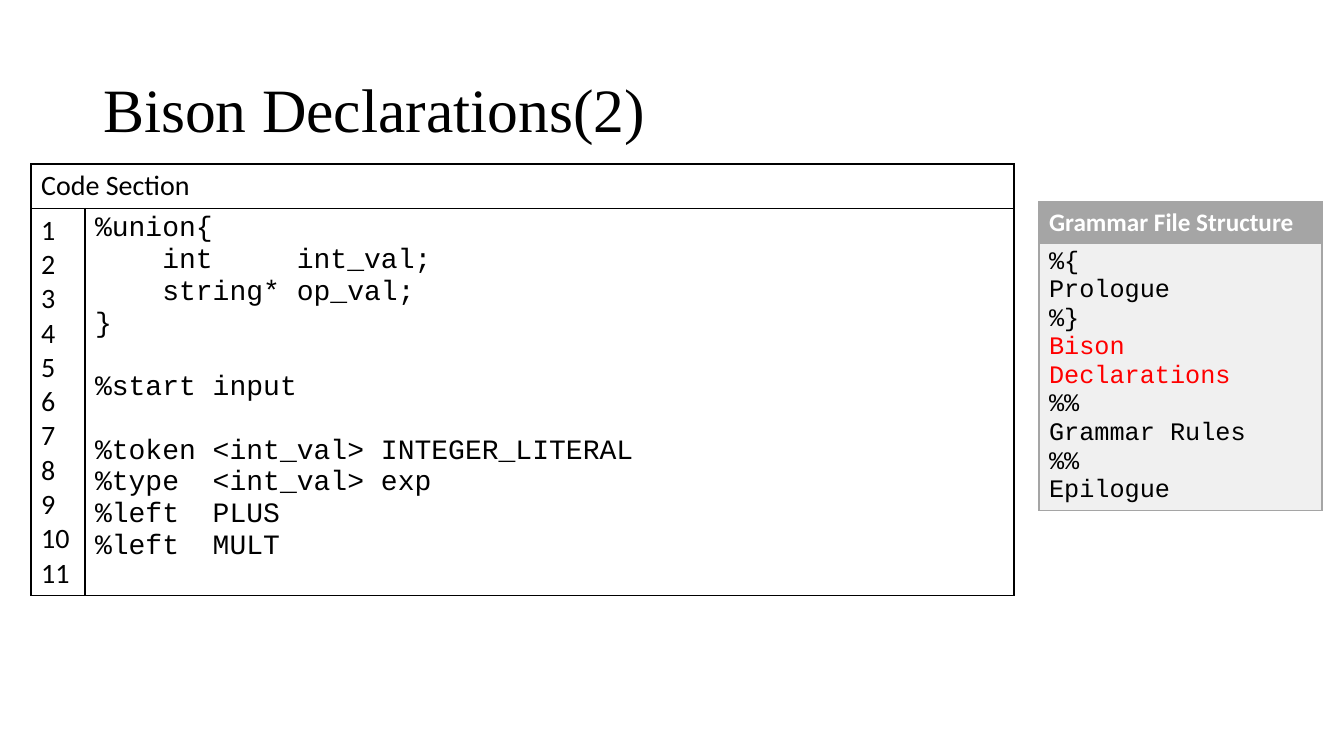
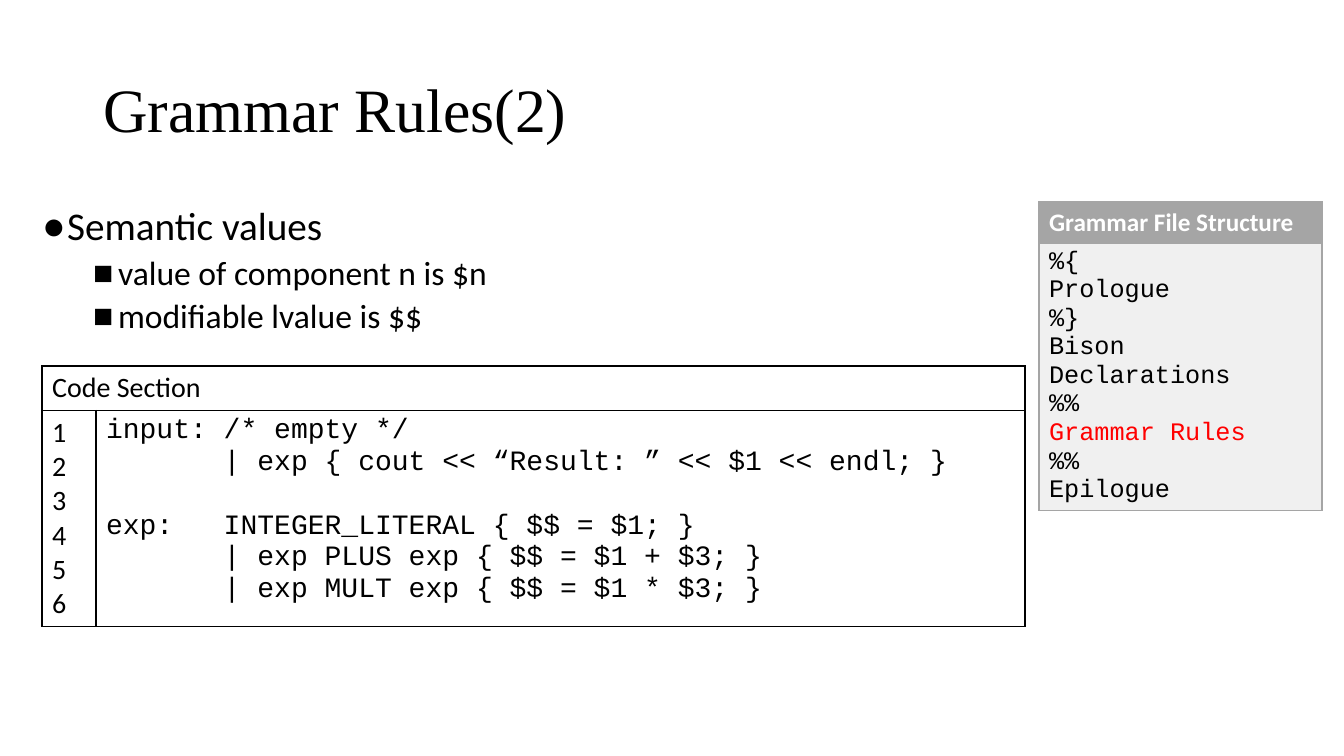
"""Build two slides on Bison grammar files: declarations and grammar rules."""
import dataclasses
import typing

import lxml.etree
import pptx
import pptx.dml.color
import pptx.enum.text
import pptx.oxml.ns
import pptx.util

EMU_PER_PIXEL = 914400 / 100.8
BLACK, WHITE, RED = "000000", "FFFFFF", "FF0000"
GRAY, PALE_GRAY = "A5A5A5", "F0F0F0"
BODY_FONT, CODE_FONT, TITLE_FONT = "Calibri", "Courier New", "Times New Roman"
TITLE_ONLY, TITLE_AND_BODY = 5, 1
HEADER_HEIGHT, LINE_HEIGHT, CELL_PADDING = 44, 34, 12
GRAMMAR_FILE_PARTS = ["%{", "Prologue", "%}", "Bison Declarations", "%%",
                      "Grammar Rules", "%%", "Epilogue"]


@dataclasses.dataclass(frozen=True)
class Box:
    """A rectangle in pixels."""
    left: int
    top: int
    width: int
    height: int

    def emu(self) -> list[pptx.util.Emu]:
        """Return left, top, width and height in EMU."""
        return [px(side) for side in dataclasses.astuple(self)]


@dataclasses.dataclass(frozen=True)
class TextStyle:
    """The look of a paragraph."""
    font: str
    size: int
    color: str = BLACK
    bold: bool = False


@dataclasses.dataclass(frozen=True)
class BulletLevel:
    """Bullet, indent in pixels, space before in points and text style."""
    bullet: str
    indent: int
    space_before: int
    style: TextStyle


@dataclasses.dataclass(frozen=True)
class Lesson:
    """What one slide says."""
    title: str
    current_part: str
    code_left: int
    code_top: int
    code: list[str]
    points: list[tuple[int, str]] = dataclasses.field(default_factory=list)


TITLE_BOX = Box(93, 40, 1159, 146)
POINTS_BOX = Box(32, 202, 980, 529)
STRUCTURE_BOX = Box(1039, 202, 283, 308)
CODE_COLUMNS = [54, 929]
STRUCTURE_ROWS = [41, 267]

TITLE_STYLE = TextStyle(TITLE_FONT, 44)
NUMBER_STYLE = TextStyle(BODY_FONT, 20)
CODE_STYLE = TextStyle(CODE_FONT, 20)
STRUCTURE_HEADER = TextStyle(BODY_FONT, 18, WHITE, True)
STRUCTURE_PART = TextStyle(CODE_FONT, 18)
CURRENT_PART = TextStyle(CODE_FONT, 18, RED)
LEVELS = [BulletLevel("●", 25, 10, TextStyle(BODY_FONT, 28)),
          BulletLevel("■", 76, 5, TextStyle(BODY_FONT, 24))]
HANGING = -25

LESSONS = [
    Lesson("Bison Declarations(2)", "Bison Declarations", 31, 164, [
        "%union{",
        "    int     int_val;",
        "    string* op_val;",
        "}",
        "",
        "%start input",
        "",
        "%token <int_val> INTEGER_LITERAL",
        "%type  <int_val> exp",
        "%left  PLUS",
        "%left  MULT",
    ]),
    Lesson("Grammar Rules(2)", "Grammar Rules", 42, 366, [
        "input: /* empty */",
        "       | exp { cout << “Result: ” << $1 << endl; }",
        "",
        "exp:   INTEGER_LITERAL { $$ = $1; }",
        "       | exp PLUS exp { $$ = $1 + $3; }",
        "       | exp MULT exp { $$ = $1 * $3; }",
    ], [(0, "Semantic values"),
        (1, "value of component n is $n"),
        (1, "modifiable lvalue is $$")]),
]


def px(pixels: float) -> pptx.util.Emu:
    """Turn pixels into EMU."""
    return pptx.util.Emu(round(pixels * EMU_PER_PIXEL))


def rgb(color: str) -> pptx.dml.color.RGBColor:
    """Turn a hex string into a colour."""
    return pptx.dml.color.RGBColor.from_string(color)


def add_child(parent: typing.Any, tag: str, **attributes: str) -> typing.Any:
    """Append a DrawingML element."""
    return lxml.etree.SubElement(parent, pptx.oxml.ns.qn(tag), attributes)


def apply_style(paragraph: typing.Any, style: TextStyle) -> None:
    """Set the font of a whole paragraph."""
    paragraph.font.name = style.font
    paragraph.font.size = pptx.util.Pt(style.size)
    paragraph.font.bold = style.bold
    paragraph.font.color.rgb = rgb(style.color)


def write_lines(frame: typing.Any, lines: list[str], style: TextStyle) -> None:
    """Fill a text frame with one paragraph per line."""
    frame.text = "\n".join(lines)
    for paragraph in frame.paragraphs:
        apply_style(paragraph, style)


def place(placeholder: typing.Any, box: Box) -> None:
    """Move a placeholder and keep its text at full size."""
    (placeholder.left, placeholder.top,
     placeholder.width, placeholder.height) = box.emu()
    placeholder.text_frame.auto_size = pptx.enum.text.MSO_AUTO_SIZE.NONE


def write_title(title: typing.Any, text: str) -> None:
    """Place and format the slide title."""
    place(title, TITLE_BOX)
    frame = title.text_frame
    frame.vertical_anchor = pptx.enum.text.MSO_ANCHOR.MIDDLE
    write_lines(frame, [text], TITLE_STYLE)
    frame.paragraphs[0].alignment = pptx.enum.text.PP_ALIGN.LEFT
    frame.paragraphs[0].line_spacing = 0.9


def write_points(body: typing.Any, points: list[tuple[int, str]]) -> None:
    """Fill the body placeholder with a bulleted list."""
    place(body, POINTS_BOX)
    body.text_frame.text = "\n".join(text for _, text in points)
    for paragraph, (depth, _) in zip(body.text_frame.paragraphs, points):
        level = LEVELS[depth]
        paragraph.level = depth
        paragraph.line_spacing = 0.9
        paragraph.space_before = pptx.util.Pt(level.space_before)
        apply_style(paragraph, level.style)
        properties = paragraph._p.get_or_add_pPr()
        properties.set("marL", str(px(level.indent)))
        properties.set("indent", str(px(HANGING)))
        bullet = add_child(properties, "a:buChar", char=level.bullet)
        properties.find(pptx.oxml.ns.qn("a:defRPr")).addprevious(bullet)


def format_cell(cell: typing.Any, fill: str, border: str) -> None:
    """Give a cell a plain fill and a thin border on every side."""
    properties = cell._tc.get_or_add_tcPr()
    for side in ("L", "R", "T", "B"):
        line = add_child(properties, f"a:ln{side}", w=str(pptx.util.Pt(1)))
        add_child(add_child(line, "a:solidFill"), "a:srgbClr", val=border)
    cell.fill.solid()
    cell.fill.fore_color.rgb = rgb(fill)


def add_grid(slide: typing.Any, left: int, top: int, columns: list[int],
             rows: list[int], fills: list[str], border: str) -> typing.Any:
    """Add a table with one fill per row and return it."""
    box = Box(left, top, sum(columns), sum(rows))
    table = slide.shapes.add_table(len(rows), len(columns), *box.emu()).table
    table.first_row = table.horz_banding = False
    for column, width in zip(table.columns, columns):
        column.width = px(width)
    for row, height, fill in zip(table.rows, rows, fills):
        row.height = px(height)
        for cell in row.cells:
            format_cell(cell, fill, border)
    return table


def add_code_section(slide: typing.Any, lesson: Lesson) -> None:
    """Add the numbered code listing."""
    count = len(lesson.code)
    rows = [HEADER_HEIGHT, LINE_HEIGHT * count + CELL_PADDING]
    table = add_grid(slide, lesson.code_left, lesson.code_top, CODE_COLUMNS,
                     rows, [WHITE, WHITE], BLACK)
    table.cell(0, 0).merge(table.cell(0, 1))
    numbers = [str(number) for number in range(1, count + 1)]
    write_lines(table.cell(0, 0).text_frame, ["Code Section"], NUMBER_STYLE)
    write_lines(table.cell(1, 0).text_frame, numbers, NUMBER_STYLE)
    write_lines(table.cell(1, 1).text_frame, lesson.code, CODE_STYLE)


def add_file_structure(slide: typing.Any, current_part: str) -> None:
    """Add the grammar file overview with the current part in red."""
    table = add_grid(slide, STRUCTURE_BOX.left, STRUCTURE_BOX.top,
                     [STRUCTURE_BOX.width], STRUCTURE_ROWS,
                     [GRAY, PALE_GRAY], GRAY)
    write_lines(table.cell(0, 0).text_frame, ["Grammar File Structure"],
                STRUCTURE_HEADER)
    parts = table.cell(1, 0).text_frame
    write_lines(parts, GRAMMAR_FILE_PARTS, STRUCTURE_PART)
    current = GRAMMAR_FILE_PARTS.index(current_part)
    apply_style(parts.paragraphs[current], CURRENT_PART)


def add_lesson(deck: typing.Any, lesson: Lesson) -> None:
    """Add one slide."""
    layout = TITLE_AND_BODY if lesson.points else TITLE_ONLY
    slide = deck.slides.add_slide(deck.slide_layouts[layout])
    write_title(slide.shapes.title, lesson.title)
    add_code_section(slide, lesson)
    add_file_structure(slide, lesson.current_part)
    if lesson.points:
        write_points(slide.placeholders[1], lesson.points)


def main() -> None:
    """Build and save the presentation."""
    deck = pptx.Presentation()
    deck.slide_width, deck.slide_height = px(1344), px(756)
    for lesson in LESSONS:
        add_lesson(deck, lesson)
    deck.save("out.pptx")


main()
